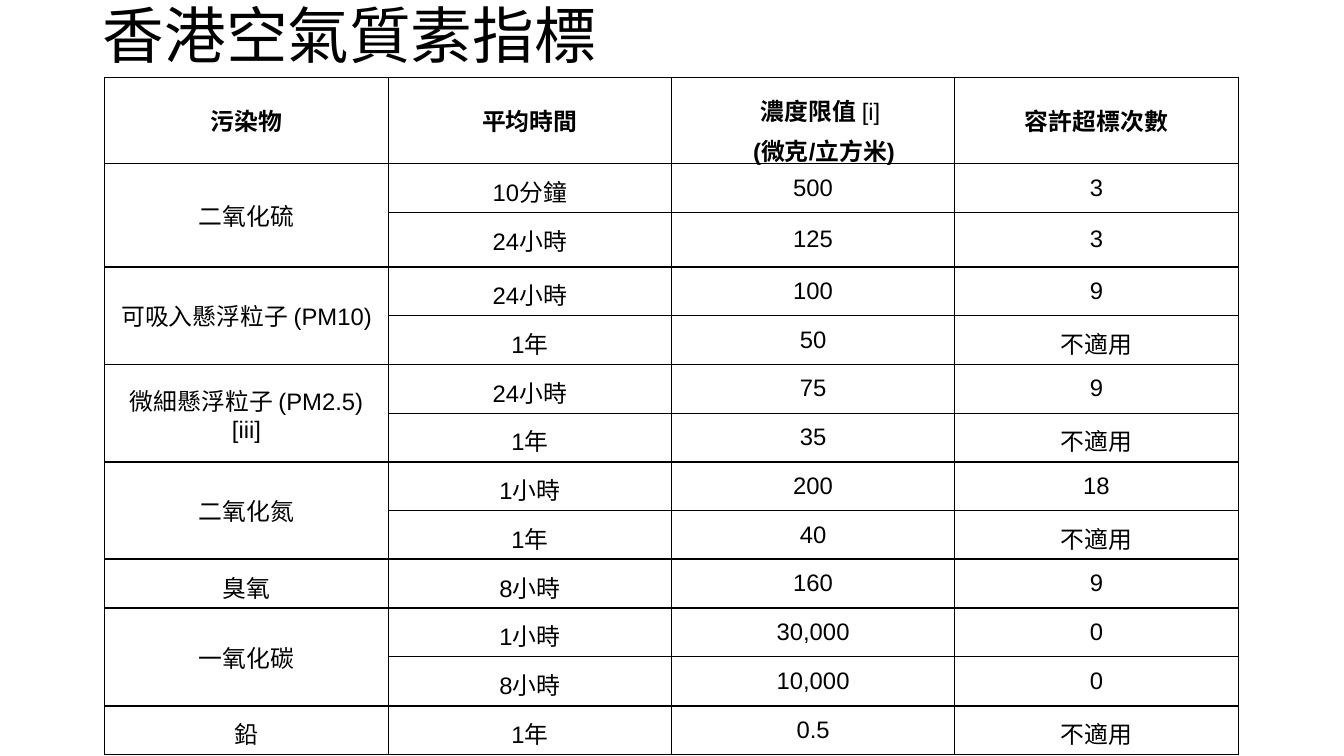
from lxml.etree import SubElement
from pptx import Presentation
from pptx.dml.color import RGBColor
from pptx.enum.text import MSO_ANCHOR as Anchor, MSO_AUTO_SIZE as AutoSize, PP_ALIGN as Align
from pptx.oxml.ns import qn
from pptx.util import Inches, Pt

INK = "000000"
THIN, THICK = 0.75, 1.5
HEADER = [
    [[("污染物", True)]],
    [[("平均時間", True)]],
    [[("濃度限值 ", True), ("[i]", False)], [(" (微克/立方米)", True)]],
    [[("容許超標次數", True)]],
]
# pollutant, weight of the line above its group, (averaging time, limit, exceedances)
OBJECTIVES = [
    ("二氧化硫", THICK, [("10分鐘", "500", "3"), ("24小時", "125", "3")]),
    ("可吸入懸浮粒子 (PM10)", THICK, [("24小時", "100", "9"), ("1年", "50", "不適用")]),
    ("微細懸浮粒子 (PM2.5) [iii]", THIN, [("24小時", "75", "9"), ("1年", "35", "不適用")]),
    ("二氧化氮", THICK, [("1小時", "200", "18"), ("1年", "40", "不適用")]),
    ("臭氧", THICK, [("8小時", "160", "9")]),
    ("一氧化碳", THICK, [("1小時", "30,000", "0"), ("8小時", "10,000", "0")]),
    ("鉛", THICK, [("1年", "0.5", "不適用")]),
]
HEADER_HEIGHT, ROW_HEIGHT, TALL_ROW, TALL_HEIGHT = 0.77, 0.46, 2, 0.54
COLUMN_WIDTH = 2.81


def colour(hex_code):
    return RGBColor.from_string(hex_code)


class ObjectivesSlide:
    title_font, title_size = "Lato", 44
    table_font, table_size = "Arial", 17

    def __init__(self, deck):
        self.slide = deck.slides.add_slide(deck.slide_layouts[5])

    def run(self, paragraph, text, font, size, bold=False):
        run = paragraph.add_run()
        run.text = text
        run.font.name, run.font.size, run.font.bold = font, Pt(size), bold
        run.font.color.rgb = colour(INK)

    def title(self, text, left, top, width, height):
        heading = self.slide.shapes.title
        heading.left, heading.top = Inches(left), Inches(top)
        heading.width, heading.height = Inches(width), Inches(height)
        frame = heading.text_frame
        frame.word_wrap = True
        frame.auto_size = AutoSize.SHAPE_TO_FIT_TEXT
        frame.vertical_anchor = Anchor.MIDDLE
        line = frame.paragraphs[0]
        line.alignment, line.line_spacing = Align.LEFT, 0.9
        self.run(line, text, self.title_font, self.title_size)

    def table(self, left, top, column_width, row_heights, columns):
        frame = self.slide.shapes.add_table(
            len(row_heights), columns, Inches(left), Inches(top),
            Inches(column_width * columns), Inches(sum(row_heights)))
        grid = frame.table
        grid.first_row = grid.horz_banding = False
        for column in grid.columns:
            column.width = Inches(column_width)
        for row, height in zip(grid.rows, row_heights):
            row.height = Inches(height)
        return grid

    def cell(self, cell, lines, above, below):
        """Fill a cell with lines of (text, bold) runs, ruled above and below by weight."""
        cell.margin_left = cell.margin_right = Inches(0.1)
        cell.margin_top = cell.margin_bottom = Inches(0.1)
        cell.vertical_anchor = Anchor.MIDDLE
        self.borders(cell, above, below)
        cell.fill.background()
        for index, runs in enumerate(lines):
            frame = cell.text_frame
            line = frame.add_paragraph() if index else frame.paragraphs[0]
            line.alignment = Align.CENTER
            if len(lines) > 1:
                line.line_spacing = 1.15
                properties = line._p.get_or_add_pPr()
                properties.set("marL", str(Inches(0.15)))
                properties.set("indent", "0")
            for text, bold in runs:
                self.run(line, text, self.table_font, self.table_size, bold)

    def borders(self, cell, above, below):
        properties = cell._tc.get_or_add_tcPr()
        for side, weight in (("L", THIN), ("R", THIN), ("T", above), ("B", below)):
            edge = SubElement(properties, qn(f"a:ln{side}"), w=str(Pt(weight)))
            fill = SubElement(edge, qn("a:solidFill"))
            SubElement(fill, qn("a:srgbClr"), val=INK)


def main():
    deck = Presentation()
    deck.slide_width, deck.slide_height = Inches(13.33), Inches(7.5)
    page = ObjectivesSlide(deck)
    page.title("香港空氣質素指標", 0.92, 0, 11.5, 0.77)

    row_count = sum(len(limits) for _, _, limits in OBJECTIVES)
    heights = [HEADER_HEIGHT] + [ROW_HEIGHT] * row_count
    heights[TALL_ROW] = TALL_HEIGHT
    grid = page.table(1.04, 0.77, COLUMN_WIDTH, heights, len(HEADER))
    for column, lines in enumerate(HEADER):
        page.cell(grid.cell(0, column), lines, THIN, THICK)

    weights_below = [above for _, above, _ in OBJECTIVES[1:]] + [THIN]
    row = 1
    for (pollutant, above, limits), below in zip(OBJECTIVES, weights_below):
        last = len(limits) - 1
        for index, values in enumerate(limits):
            upper = THIN if index else above
            lower = below if index == last else THIN
            name = [] if index else [[(pollutant, False)]]
            page.cell(grid.cell(row + index, 0), name, above, below)
            for column, value in enumerate(values, 1):
                page.cell(grid.cell(row + index, column), [[(value, False)]], upper, lower)
        if last:
            grid.cell(row, 0).merge(grid.cell(row + last, 0))
        row += len(limits)

    deck.save("out.pptx")


if __name__ == "__main__":
    main()
